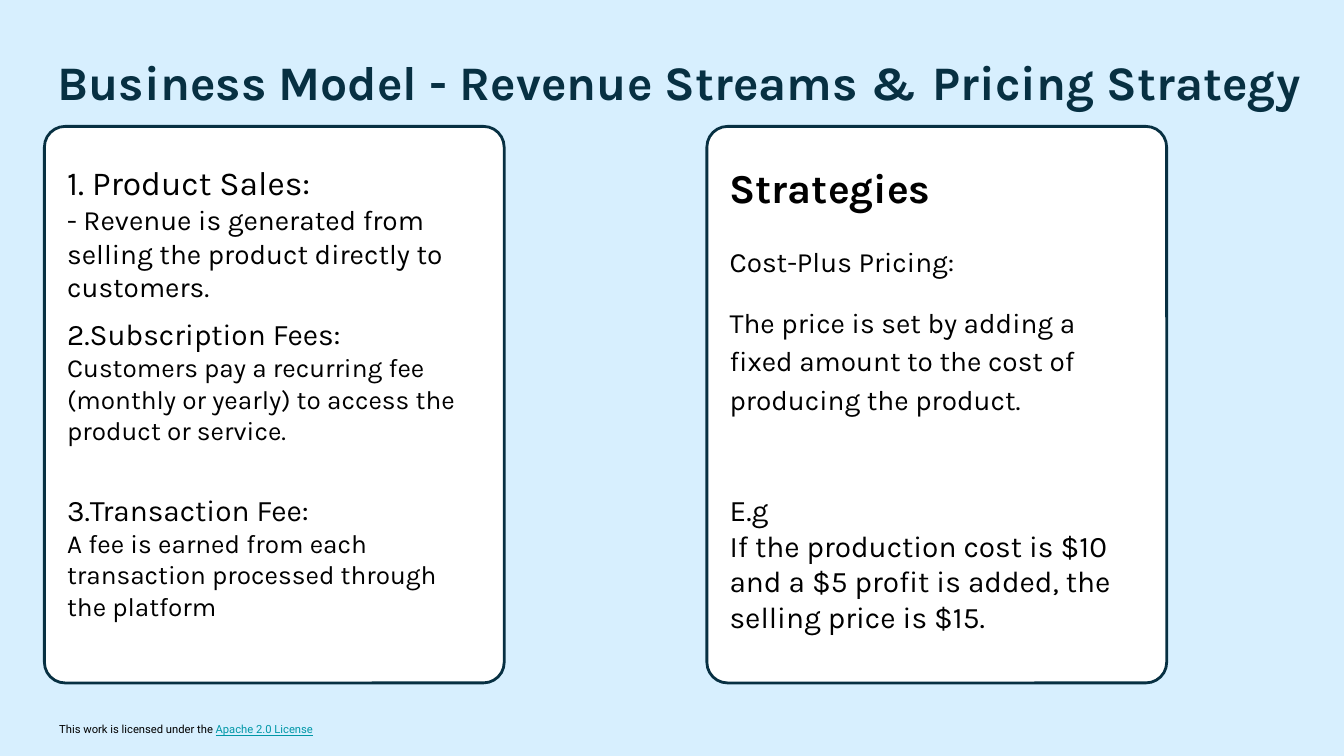
from dataclasses import dataclass

from pptx import Presentation
from pptx.dml.color import RGBColor
from pptx.enum.shapes import MSO_SHAPE
from pptx.enum.text import MSO_ANCHOR, PP_ALIGN
from pptx.slide import Slide
from pptx.util import Cm, Pt

SKY = RGBColor(0xD7, 0xEF, 0xFE)
NAVY = RGBColor(0x07, 0x30, 0x42)
TEAL = RGBColor(0x00, 0x97, 0xA7)
BLACK = RGBColor(0, 0, 0)
WHITE = RGBColor(0xFF, 0xFF, 0xFF)

CARD_TOP, CARD_WIDTH, CARD_HEIGHT = 2.39, 8.69, 10.52
TEXT_INDENT = 0.18


@dataclass(frozen=True)
class Run:
    text: str
    size: float
    bold: bool = False
    color: RGBColor = BLACK
    font: str = "Karla"
    underline: bool = False


@dataclass(frozen=True)
class Block:
    """Text box in a card; each run is one paragraph."""
    top: float
    height: float
    lines: tuple[Run, ...]
    line_spacing: float = 1.0
    gap: float = 0


@dataclass(frozen=True)
class Card:
    left: float
    blocks: tuple[Block, ...]


CARDS = (
    Card(0.84, (
        Block(2.82, 3.2, (
            Run("1. Product Sales:", 18),
            Run("- Revenue is generated from selling the product directly to customers.", 15))),
        Block(5.72, 3.0, (
            Run("2.Subscription Fees:", 16),
            Run("Customers pay a recurring fee (monthly or yearly) to access the "
                "product or service.", 14))),
        Block(9.04, 3.0, (
            Run("3.Transaction Fee:", 16),
            Run("A fee is earned from each transaction processed through the platform", 14))),
    )),
    Card(13.36, (
        Block(2.82, 1.45, (Run("Strategies", 22, bold=True),)),
        Block(4.27, 6.17, (
            Run("Cost-Plus Pricing:", 15),
            Run("The price is set by adding a fixed amount to the cost of "
                "producing the product.", 15)), line_spacing=1.15, gap=12),
        Block(9.04, 3.25, (
            Run("E.g", 16),
            Run("If the production cost is $10 and a $5 profit is added, the "
                "selling price is $15.", 16))),
    )),
)

TITLE = (
    Run("Business Model - Revenue Streams &", 25.8, True, NAVY),
    Run(" ", 34.8, False, NAVY),
    Run("Pricing Strategy", 25.8, True, NAVY),
)
LICENSE = (
    Run("This work is licensed under the ", 6, font="Roboto"),
    Run("Apache 2.0 License", 6, color=TEAL, font="Roboto", underline=True),
)


def add_text(s: Slide, left: float, top: float, width: float, height: float,
             paragraphs: list[tuple[Run, ...]], inset: float = 0.25,
             anchor: MSO_ANCHOR = MSO_ANCHOR.TOP,
             line_spacing: float = 1.0, gap: float = 0) -> None:
    """Add a text box; gap is the space in points between paragraphs."""
    box = s.shapes.add_textbox(Cm(left), Cm(top), Cm(width), Cm(height))
    tf = box.text_frame
    frame_format = {"word_wrap": True, "vertical_anchor": anchor}
    for side in ("left", "right", "top", "bottom"):
        frame_format[f"margin_{side}"] = Cm(inset)
    for name, value in frame_format.items():
        setattr(tf, name, value)
    for i, runs in enumerate(paragraphs):
        p = tf.add_paragraph() if i else tf.paragraphs[0]
        p.alignment = PP_ALIGN.LEFT
        p.line_spacing = line_spacing
        if i and gap:
            p.space_before = Pt(gap)
        for run in runs:
            r = p.add_run()
            r.text = run.text
            r.font.color.rgb = run.color
            run_format = {"name": run.font, "size": Pt(run.size),
                          "bold": run.bold, "underline": run.underline}
            for name, value in run_format.items():
                setattr(r.font, name, value)


def add_card(s: Slide, card: Card) -> None:
    sp = s.shapes.add_shape(MSO_SHAPE.ROUNDED_RECTANGLE, Cm(card.left), Cm(CARD_TOP),
                            Cm(CARD_WIDTH), Cm(CARD_HEIGHT))
    sp.adjustments[0] = 0.045
    sp.shadow.inherit = False
    sp.fill.solid()
    sp.fill.fore_color.rgb = WHITE
    sp.line.color.rgb = NAVY
    sp.line.width = Pt(1.5)
    for block in card.blocks:
        add_text(s, card.left + TEXT_INDENT, block.top,
                 CARD_WIDTH - 2 * TEXT_INDENT, block.height,
                 [(line,) for line in block.lines],
                 line_spacing=block.line_spacing, gap=block.gap)


def main() -> None:
    prs = Presentation()
    prs.slide_width, prs.slide_height = Cm(25.4), Cm(14.29)
    s = prs.slides.add_slide(prs.slide_layouts[6])
    s.background.fill.solid()
    s.background.fill.fore_color.rgb = SKY

    add_text(s, 0.97, 13.41, 6.96, 0.43, [LICENSE], inset=0.15, line_spacing=1.4)
    add_text(s, 0.84, 0.36, 26.29, 2.03, [TITLE], anchor=MSO_ANCHOR.BOTTOM)
    for card in CARDS:
        add_card(s, card)
    prs.save("out.pptx")


if __name__ == "__main__":
    main()
